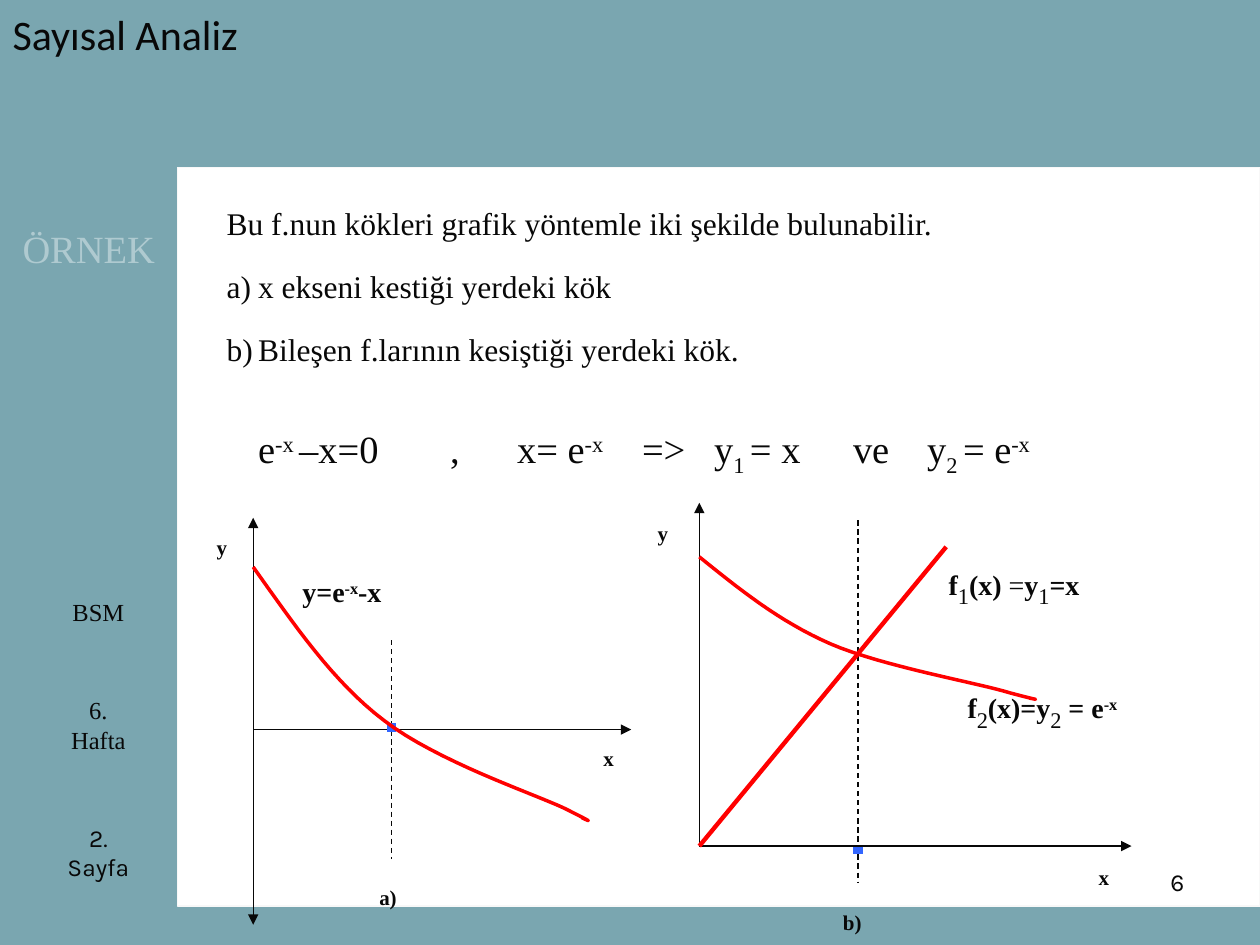
from dataclasses import dataclass
from itertools import pairwise

from lxml.etree import SubElement
from pptx import Presentation
from pptx.dml.color import RGBColor
from pptx.enum.dml import MSO_LINE
from pptx.enum.shapes import MSO_CONNECTOR, MSO_SHAPE
from pptx.enum.text import MSO_ANCHOR, MSO_AUTO_SIZE as AutoSize, PP_ALIGN as Align
from pptx.oxml.ns import qn
from pptx.util import Pt

COLORS = {"back": "7AA6B0", "panel": "FFFFFF", "edge": "F8F8F8", "ink": "080808",
          "side": "AFCAD0", "curve": "FF0000", "root": "3366FF"}
SERIF = "Times New Roman"
Point = tuple[float, float]


@dataclass
class Run:
    text: str
    base: int = 0
    bold: bool | None = None
    size: float | None = None


@dataclass
class Text:
    box: tuple[float, float, float, float]
    paras: list[list[Run]]
    size: float = 14
    font: str = SERIF
    color: str = "ink"
    bold: bool = False
    align: Align = Align.LEFT
    before: float = 0
    spacing: float | None = None
    tight: bool = False
    grow: bool = False
    tabs: tuple[float, ...] = ()


@dataclass
class Line:
    start: Point
    end: Point
    color: str = "ink"
    width: float = 0.75
    dash: bool = False
    head: bool = False
    tail: bool = False


@dataclass
class Graph:
    lines: list[Line]
    curve: list[Point]
    labels: list[Text]


def rgb(name: str) -> RGBColor:
    return RGBColor.from_string(COLORS[name])


def place(sp, box: tuple[float, float, float, float]) -> None:
    sp.left, sp.top, sp.width, sp.height = map(Pt, box)


def format_run(r, text: Text, run: Run) -> None:
    r.font.name = text.font
    r.font.size = Pt(run.size or text.size)
    r.font.bold = text.bold if run.bold is None else run.bold
    r.font.color.rgb = rgb(text.color)
    if run.base:
        r._r.get_or_add_rPr().set("baseline", str(run.base * 1000))


def draw_text(s, text: Text):
    sp = s.shapes.add_textbox(*map(Pt, text.box))
    tf = sp.text_frame
    tf.word_wrap = True
    tf.auto_size = AutoSize.SHAPE_TO_FIT_TEXT if text.grow else AutoSize.NONE
    if text.tight:
        tf.margin_left = tf.margin_right = Pt(1.44)
        tf.margin_top = tf.margin_bottom = 0
    for i, runs in enumerate(text.paras):
        p = tf.add_paragraph() if i else tf.paragraphs[0]
        p.alignment = text.align
        p.space_before = Pt(text.before)
        if text.spacing:
            p.line_spacing = text.spacing
        if text.tabs:
            tabs = SubElement(p._p.get_or_add_pPr(), qn("a:tabLst"))
            for pos in text.tabs:
                SubElement(tabs, qn("a:tab"), pos=str(int(Pt(pos))), algn="l")
        for run in runs:
            r = p.add_run()
            r.text = run.text
            format_run(r, text, run)
    return sp


def draw_line(s, line: Line) -> None:
    sp = s.shapes.add_connector(MSO_CONNECTOR.STRAIGHT, *map(Pt, line.start + line.end))
    sp.line.color.rgb = rgb(line.color)
    sp.line.width = Pt(line.width)
    if line.dash:
        sp.line.dash_style = MSO_LINE.DASH
    ln = sp.line._get_or_add_ln()
    for tag, shown in (("a:headEnd", line.head), ("a:tailEnd", line.tail)):
        if shown:
            SubElement(ln, qn(tag), type="triangle")
    SubElement(sp._element.spPr, qn("a:effectLst"))


def bezier(pts: list[Point], steps: int = 16) -> list[Point]:
    out = [pts[0]]
    for i in range(0, len(pts) - 1, 3):
        for k in range(1, steps + 1):
            t = k / steps
            weights = ((1 - t) ** 3, 3 * t * (1 - t) ** 2, 3 * t * t * (1 - t), t ** 3)
            x, y = (sum(w * pt[d] for w, pt in zip(weights, pts[i:i + 4])) for d in (0, 1))
            out.append((x, y))
    return out


def draw_curve(s, pts: list[Point]) -> None:
    path_points = [(Pt(x), Pt(y)) for x, y in bezier(pts)]
    fb = s.shapes.build_freeform(*path_points[0])
    fb.add_line_segments([b for a, b in pairwise(path_points) if a != b], close=False)
    sp = fb.convert_to_shape()
    sp.shadow.inherit = False
    sp.fill.background()
    sp.line.color.rgb = rgb("curve")
    sp.line.width = Pt(2)


def label(x: float, y: float, w: float, *runs: Run, size: float = 12) -> Text:
    return Text((x, y, w, size * 1.2), [list(runs)], size, bold=True, before=size / 2,
                tight=True, grow=True)


def sub(text: str) -> Run:
    return Run(text, -25, False, 22)


GRAPHS = [
    Graph(
        [Line((144.7, 416.9), (360.7, 416.9), tail=True),
         Line((144.7, 295.9), (144.7, 528.5), head=True, tail=True),
         Line((223.9, 365.8), (223.9, 491), dash=True),
         Line((223.9, 413.3), (223.9, 418.3), "root", 5.25)],
        [(144.7, 324), (167.8, 356.4), (190.1, 389.5), (219.6, 411.8), (249.8, 434.9),
         (303.1, 452.9), (321.8, 461.5), (340.6, 470.9), (337, 469.4), (332.6, 467.3)],
        [label(343.4, 426.2, 18, Run("x")), label(122.4, 305.3, 18, Run("y")),
         label(215.3, 505.4, 22.3, Run("a)")),
         label(171.4, 328.3, 79.2, Run("y=e"), Run("-x", 30), Run("-x"), size=16)]),
    Graph(
        [Line((399.6, 483.5), (646.6, 483.5), tail=True),
         Line((399.6, 287.3), (399.6, 483.5), head=True),
         Line((490.3, 297.4), (490.3, 504.7), dash=True),
         Line((490.3, 483.8), (490.3, 488.2), "root", 5.25),
         Line((399.6, 483.5), (540.7, 312.5), "curve", 2.5)],
        [(399.6, 318.2), (421.9, 336.2), (445, 355), (474.5, 367.9), (504.7, 380.9),
         (558.7, 390.2), (577.4, 396), (596.2, 401), (592.6, 399.6), (588.2, 398.9)],
        [label(626.4, 493.9, 20.2, Run("x")), label(374.4, 297.4, 20.2, Run("y")),
         label(480.2, 519.8, 25.2, Run("b)")),
         label(540.7, 318.2, 146.2, Run("f"), sub("1"), Run("(x) "), Run("=", bold=False),
               Run("y"), sub("1"), Run("=x"), size=16),
         Text((545.8, 385.2, 171.4, 26.6),
              [[Run("f"), sub("2"), Run("(x)=y"), sub("2"), Run(" = e"), Run("-x", 30)]],
              16, bold=True, before=4.8, grow=True)]),
]

BODY = Text((122.4, 102.2, 445, 136),
            [[Run("Bu f.nun kökleri grafik yöntemle iki şekilde bulunabilir.")],
             [Run("x ekseni kestiği yerdeki kök")],
             [Run("Bileşen f.larının kesiştiği yerdeki kök.")]],
            18, before=3.6, spacing=1.5)

TEXTS = [
    Text((28.1, 466.6, 56.2, 37.4), [[Run("2. Sayfa")]], font="Karla", align=Align.CENTER),
    Text((516.2, 491.8, 167.8, 37.4), [[Run("6")]], font="Karla", align=Align.RIGHT),
    Text((28.1, 393.8, 56.2, 50.4), [[Run("6. Hafta")]], align=Align.CENTER),
    Text((28.1, 337.7, 56.2, 33.8), [[Run("BSM")]], align=Align.CENTER),
    Text((5.8, 111.6, 314.6, 90), [[Run("ÖRNEK")]], 22, color="side", before=4.4, spacing=1.5),
    Text((140.4, 224.6, 525.6, 73.4),
         [[Run("e"), Run("-x ", 30), Run("–x=0\t,\tx= e"), Run("-x", 30), Run("\t=>\ty"),
           Run("1 ", -25), Run("= x\tve\ty"), Run("2 ", -25), Run("= e"), Run("-x", 30)]],
         22, before=4.4, spacing=1.5, tabs=(109.7, 148, 219.4, 260.6, 340, 382.3)),
]


def main() -> None:
    prs = Presentation()
    prs.slide_width, prs.slide_height = Pt(720), Pt(540)
    s = prs.slides.add_slide(prs.slide_layouts[5])
    s.background.fill.solid()
    s.background.fill.fore_color.rgb = rgb("back")

    title = s.shapes.title
    place(title, (0, 0, 581, 38.9))
    tf = title.text_frame
    tf.text = "Sayısal Analiz"
    tf.auto_size = AutoSize.NONE
    tf.vertical_anchor = MSO_ANCHOR.MIDDLE
    p = tf.paragraphs[0]
    p.alignment = Align.LEFT
    format_run(p.runs[0], Text((0, 0, 0, 0), [], 24, "Calibri"), Run(""))

    panel = s.shapes.add_shape(MSO_SHAPE.RECTANGLE, *map(Pt, (101.5, 95.8, 618.5, 421.9)))
    panel.shadow.inherit = False
    panel.fill.solid()
    panel.fill.fore_color.rgb = rgb("panel")
    panel.line.color.rgb = rgb("edge")
    panel.line.width = Pt(0.75)

    for text in TEXTS:
        draw_text(s, text)
    body = draw_text(s, BODY)
    for p in body.text_frame.paragraphs[1:]:
        pPr = p._p.get_or_add_pPr()
        pPr.set("marL", str(int(Pt(18))))
        pPr.set("indent", str(-int(Pt(18))))
        SubElement(pPr, qn("a:buFont"), typeface=SERIF)
        SubElement(pPr, qn("a:buAutoNum"), type="alphaLcParenR")

    for graph in GRAPHS:
        for line in graph.lines:
            draw_line(s, line)
        draw_curve(s, graph.curve)
        for text in graph.labels:
            draw_text(s, text)
    prs.save("out.pptx")


if __name__ == "__main__":
    main()
